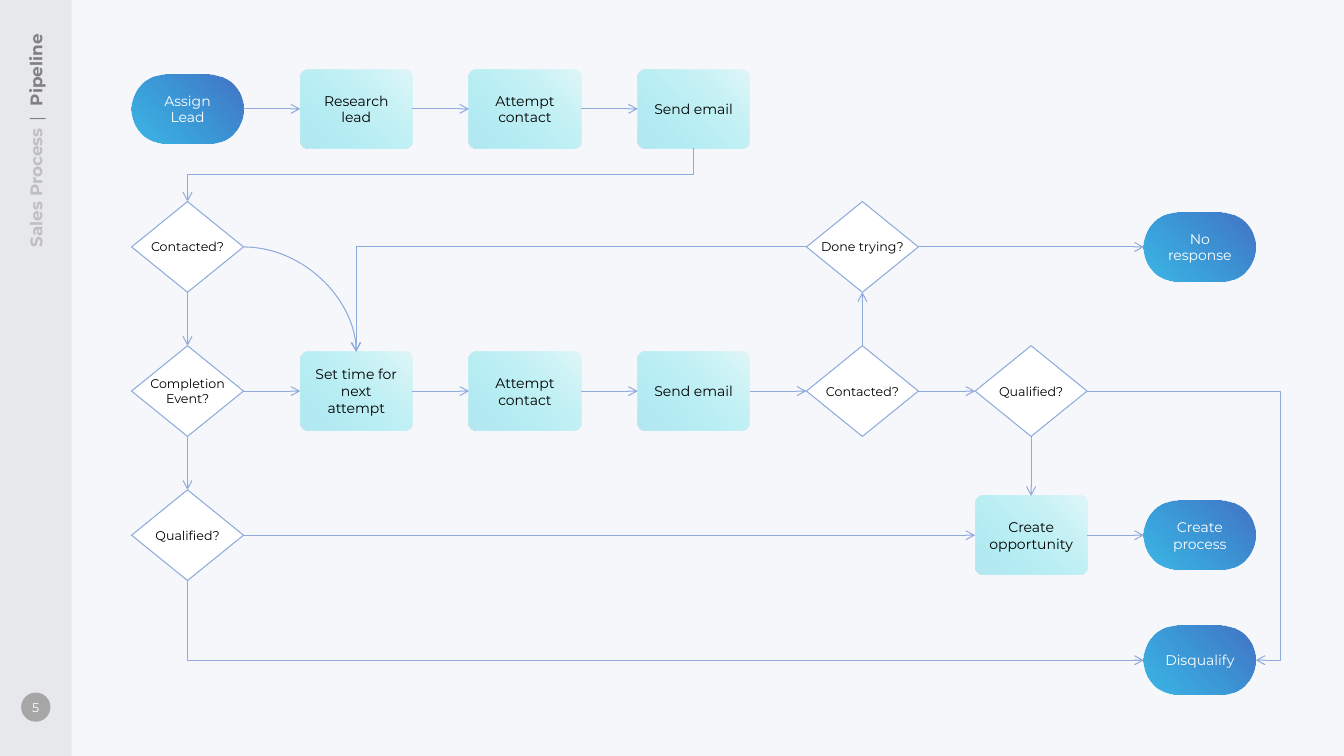
from math import cos, radians, sin

from pptx import Presentation, oxml, util as u
from pptx.dml.color import RGBColor
from pptx.enum import shapes, text
from pptx.oxml import ns

FONT = "Montserrat"
LINE = "8FAADC"
TOP, LEFT, BOTTOM, RIGHT = range(4)  # connection sites

# preset, width, height, corner, text colour, gradient stops (percent, colour, alpha)
KINDS = {
    "end": (shapes.MSO_SHAPE.ROUNDED_RECTANGLE, 1.11, 0.68, 0.5, "FFFFFF",
            [(0, "00A0DE", 75), (100, "4472C4", 100)]),
    "step": (shapes.MSO_SHAPE.ROUNDED_RECTANGLE, 1.11, 0.78, 0.11, "000000",
             [(0, "83DDED", 58), (94, "1DE5E2", 12)]),
    "choice": (shapes.MSO_SHAPE.DIAMOND, 1.11, 0.9, None, "000000", None),
}
# name: (kind, column, row, label)
NODES = {
    "assign": ("end", 0, 0, "Assign Lead"),
    "research": ("step", 1, 0, "Research lead"),
    "attempt": ("step", 2, 0, "Attempt contact"),
    "email": ("step", 3, 0, "Send email"),
    "contacted": ("choice", 0, 1, "Contacted?"),
    "done": ("choice", 4, 1, "Done trying?"),
    "no_response": ("end", 6, 1, "No response"),
    "completion": ("choice", 0, 2, "Completion Event?"),
    "set_time": ("step", 1, 2, "Set time for next attempt"),
    "retry": ("step", 2, 2, "Attempt contact"),
    "second_email": ("step", 3, 2, "Send email"),
    "recontacted": ("choice", 4, 2, "Contacted?"),
    "requalified": ("choice", 5, 2, "Qualified?"),
    "qualified": ("choice", 0, 3, "Qualified?"),
    "opportunity": ("step", 5, 3, "Create opportunity"),
    "process": ("end", 6, 3, "Create process"),
    "disqualify": ("end", 6, 4, "Disqualify"),
}
# chains of straight arrows: (exit site, entry site, names)
CHAINS = [
    (RIGHT, LEFT, ["assign", "research", "attempt", "email"]),
    (RIGHT, LEFT, ["completion", "set_time", "retry", "second_email", "recontacted", "requalified"]),
    (RIGHT, LEFT, ["done", "no_response"]),
    (RIGHT, LEFT, ["qualified", "opportunity", "process"]),
    (BOTTOM, TOP, ["contacted", "completion", "qualified"]),
    (BOTTOM, TOP, ["requalified", "opportunity"]),
    (TOP, BOTTOM, ["recontacted", "done"]),
]
# routed arrows: (from, site, to, site, preset, turn in degrees)
ROUTES = [
    ("email", BOTTOM, "contacted", TOP, "bentConnector3", 90),
    ("contacted", RIGHT, "set_time", TOP, "curvedConnector2", 0),
    ("qualified", BOTTOM, "disqualify", LEFT, "bentConnector2", 270),
    ("done", LEFT, "set_time", TOP, "bentConnector2", 0),
]


def rgb(value):
    return RGBColor.from_string(value)


def inches(*values):
    return [u.Inches(value) for value in values]


def element(xml):
    return oxml.parse_xml(f"<a:wrap {ns.nsdecls('a')}>{xml}</a:wrap>")[0]


def add_shape(page, preset, box, fill, line=None):
    shape = page.shapes.add_shape(preset, *inches(*box))
    shape.shadow.inherit = False
    shape.fill.solid()
    shape.fill.fore_color.rgb = rgb(fill)
    if line:
        shape.line.color.rgb = rgb(line)
        shape.line.width = u.Pt(0.75)
    else:
        shape.line.fill.background()
    return shape


def add_span(para, words, size, color, bold=False):
    span = para.add_run()
    span.text = words
    span.font.color.rgb = rgb(color)
    for name, value in {"name": FONT, "size": u.Pt(size), "bold": bold}.items():
        setattr(span.font, name, value)
    return span


def write(shape, words, size, color, side=0.1):
    frame = shape.text_frame
    settings = {"word_wrap": True, "vertical_anchor": text.MSO_ANCHOR.MIDDLE,
                "margin_left": u.Inches(side), "margin_right": u.Inches(side)}
    for name, value in settings.items():
        setattr(frame, name, value)
    para = frame.paragraphs[0]
    para.alignment = text.PP_ALIGN.CENTER
    add_span(para, words, size, color)


def set_gradient(shape, stops):
    """Radial gradient that starts at the bottom left corner."""
    marks = "".join(
        f'<a:gs pos="{place * 1000}"><a:srgbClr val="{color}">'
        f'<a:alpha val="{alpha * 1000}"/></a:srgbClr></a:gs>'
        for place, color, alpha in stops)
    gradient = element(
        f'<a:gradFill rotWithShape="1"><a:gsLst>{marks}</a:gsLst><a:path path="circle">'
        '<a:fillToRect t="100000" r="100000"/></a:path></a:gradFill>')
    properties = shape.element.spPr
    properties.replace(properties.find(ns.qn("a:solidFill")), gradient)


def add_node(page, kind, center_x, center_y, label):
    preset, width, height, corner, color, stops = KINDS[kind]
    box = (center_x - width / 2, center_y - height / 2, width, height)
    if kind == "choice":
        return add_shape(page, preset, box, "FFFFFF", LINE)
    node = add_shape(page, preset, box, "FFFFFF")
    node.adjustments[0] = corner
    set_gradient(node, stops)
    write(node, label, 10, color)
    return node


def add_arrow(page, start, start_site, end, end_site, preset="line", turn=0, lane=None):
    arrow = page.shapes.add_connector(shapes.MSO_CONNECTOR.STRAIGHT, 0, 0, 0, 0)
    arrow.begin_connect(start, start_site)
    arrow.end_connect(end, end_site)
    arrow.line.color.rgb = rgb(LINE)
    arrow.line.width = u.Pt(0.75)
    properties = arrow.element.spPr
    properties.find(ns.qn("a:ln")).append(element('<a:tailEnd type="arrow"/>'))
    properties.append(element("<a:effectLst/>"))
    geometry = properties.find(ns.qn("a:prstGeom"))
    geometry.set("prst", preset)
    if turn:
        # Turn the end points back about the middle, then rotate the frame
        half_x = (arrow.end_x - arrow.begin_x) / 2
        half_y = (arrow.end_y - arrow.begin_y) / 2
        middle_x, middle_y = arrow.begin_x + half_x, arrow.begin_y + half_y
        cosine, sine = cos(radians(turn)), sin(radians(turn))
        across = half_x * cosine + half_y * sine
        down = half_y * cosine - half_x * sine
        arrow.begin_x, arrow.begin_y = round(middle_x - across), round(middle_y - down)
        arrow.end_x, arrow.end_y = round(middle_x + across), round(middle_y + down)
        properties.find(ns.qn("a:xfrm")).set("rot", str(turn * 60000))
    if lane:
        # Bend at the given vertical lane
        share = (u.Inches(lane) - arrow.begin_x) / (arrow.end_x - arrow.begin_x)
        for guides in geometry.findall(ns.qn("a:avLst")):
            geometry.remove(guides)
        geometry.append(element(
            f'<a:avLst><a:gd name="adj1" fmla="val {round(share * 100000)}"/></a:avLst>'))


def draw_sidebar(page, left, top, width, height):
    band = add_shape(page, shapes.MSO_SHAPE.RECTANGLE, (left, top, width, height), "404040")
    band.element.spPr.find(ns.qn("a:solidFill"))[0].append(element('<a:alpha val="8000"/>'))

    # Page number
    size = 0.29
    badge = add_shape(page, shapes.MSO_SHAPE.OVAL,
                      (left + (width - size) / 2, top + height - 0.63, size, size), "A6A6A6")
    write(badge, "5", 9, "FFFFFF", side=0)
    badge.text_frame.word_wrap = False

    # Vertical title
    title_width, title_height = 2.4, 0.3
    title = page.shapes.add_textbox(*inches(
        left + (width - title_width) / 2, top + 1.29, title_width, title_height))
    title.rotation = 270
    title.text_frame.word_wrap = False
    para = title.text_frame.paragraphs[0]
    para.alignment = text.PP_ALIGN.RIGHT
    add_span(para, "Sales Process", 12, "BFBFBF", True)
    divider = add_span(para, " | ", 12, "808080")
    divider.font._element.set("spc", "200")
    add_span(para, "Pipeline", 12, "808080", True)


def draw_flow(page, left, top, width, height):
    first_column = left + 0.56
    pitch = (width - 1.36) / 6
    rows = [top + offset for offset in (0.39, 1.76, 3.19, 4.62, height - 0.34)]
    nodes = {}
    for name, (kind, column, row, label) in NODES.items():
        nodes[name] = add_node(page, kind, first_column + pitch * column, rows[row], label)

    # Arrows
    for exit_site, entry_site, names in CHAINS:
        for start, end in zip(names, names[1:]):
            add_arrow(page, nodes[start], exit_site, nodes[end], entry_site)
    for start, start_site, end, end_site, preset, turn in ROUTES:
        add_arrow(page, nodes[start], start_site, nodes[end], end_site, preset, turn)
    add_arrow(page, nodes["requalified"], RIGHT, nodes["disqualify"], RIGHT,
              "bentConnector3", lane=left + width)

    # Labels on the diamonds, as wide as the diamonds themselves
    for kind, column, row, label in NODES.values():
        if kind == "choice":
            box = page.shapes.add_textbox(*inches(
                first_column + pitch * column - 0.56, rows[row] - 0.32, 1.12, 0.64))
            write(box, label, 9, "000000", side=0)


def main():
    deck = Presentation()
    deck.slide_width, deck.slide_height = inches(13.33, 7.5)
    page = deck.slides.add_slide(deck.slide_layouts[6])
    page.background.fill.solid()
    page.background.fill.fore_color.rgb = rgb("F6F7FB")
    draw_sidebar(page, 0, 0, 0.71, 7.5)
    draw_flow(page, 1.3, 0.69, 11.4, 6.2)
    deck.save("out.pptx")


if __name__ == "__main__":
    main()
